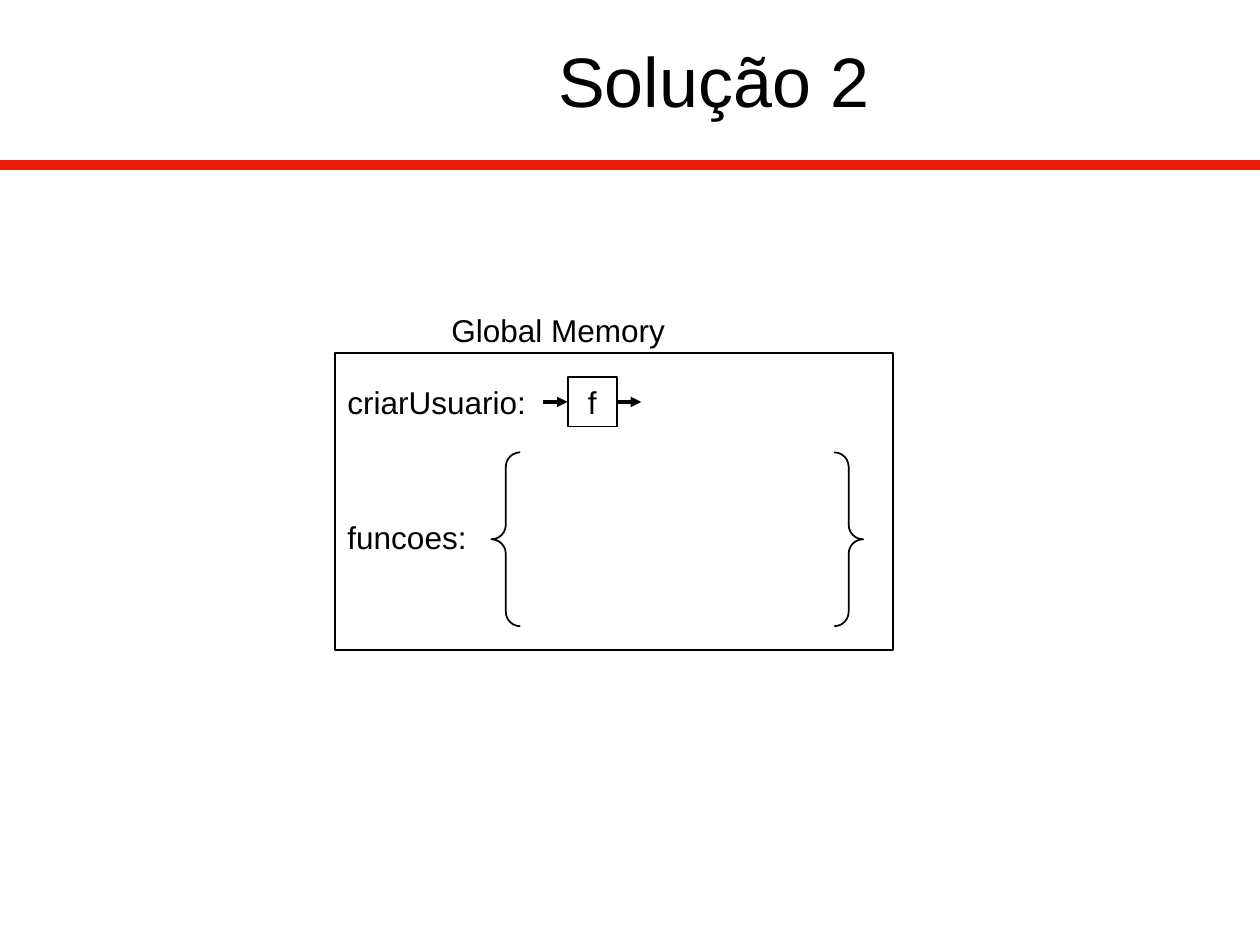
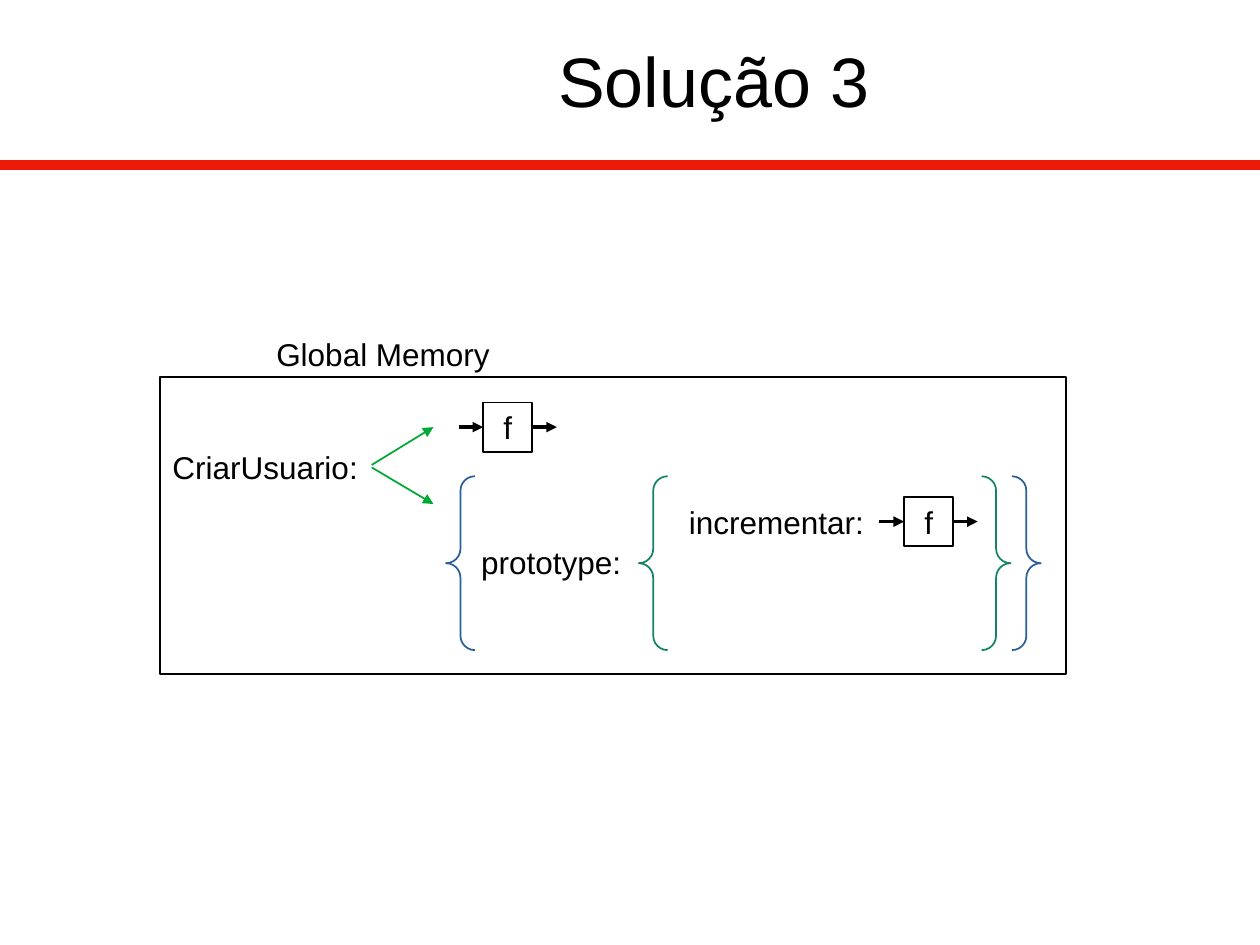
from lxml.etree import SubElement
from pptx import Presentation
from pptx.dml.color import RGBColor
from pptx.enum.shapes import MSO_CONNECTOR, MSO_SHAPE
from pptx.enum.text import MSO_ANCHOR, MSO_AUTO_SIZE, PP_ALIGN
from pptx.oxml.ns import qn
from pptx.util import Inches, Pt

# Content: lengths in inches; a label is (text, left, top),
# a function is (left, middle), braces are (left, width, colour),
# an arrow is (from x, from y, to x, to y)
SLIDES = [
    {
        "title": "Solução 2",
        "memory": (2.66, 2.8, 4.43),
        "labels": [("criarUsuario:", 2.66, 2.99), ("funcoes:", 2.66, 4.06)],
        "functions": [(4.31, 3.19)],
        "braces": [(3.9, 2.95, "black")],
        "arrows": [],
    },
    {
        "title": "Solução 3",
        "memory": (1.27, 2.99, 7.19),
        "labels": [("CriarUsuario:", 1.27, 3.51), ("prototype:", 3.72, 4.26),
                   ("incrementar:", 5.37, 3.94)],
        "functions": [(3.64, 3.39), (6.98, 4.14)],
        "braces": [(3.54, 4.72, "blue"), (5.07, 2.95, "teal")],
        "arrows": [(2.95, 3.69, 3.44, 3.39), (2.95, 3.71, 3.44, 4)],
    },
]

# Shared style
COLORS = {"black": "000000", "red": "ED1909", "green": "00A933",
          "blue": "2A6099", "teal": "158466"}
FONT = "Arial"
TITLE_BOX = (1.53, -0.09, 8.27, 1.44)
RULE_TOP = 1.31
MEMORY_HEIGHT = 2.36
CAPTION_RISE, CAPTION_WIDTH = 0.38, 3.54
LABEL_WIDTH, LABEL_HEIGHT = 2.36, 0.4
BRACE_DROP, BRACE_HEIGHT = 0.79, 1.38
FUNCTION_SIZE = 0.39
STUB = FUNCTION_SIZE / 2


def inches(*lengths):
    return [Inches(length) for length in lengths]


def color(name):
    return RGBColor.from_string(COLORS[name])


def write(shape, text, size=18, align=PP_ALIGN.CENTER, anchor=MSO_ANCHOR.TOP, wrap=True):
    frame = shape.text_frame
    frame.text = text
    frame.word_wrap = wrap
    frame.auto_size = MSO_AUTO_SIZE.NONE
    frame.vertical_anchor = anchor
    paragraph = frame.paragraphs[0]
    paragraph.alignment = align
    paragraph.font.name = FONT
    paragraph.font.size = Pt(size)
    paragraph.font.color.rgb = color("black")


def add_label(slide, text, left, top, width=LABEL_WIDTH, align=PP_ALIGN.LEFT):
    box = slide.shapes.add_textbox(*inches(left, top, width, LABEL_HEIGHT))
    write(box, text, align=align)


def add_outline(shapes, kind, box, line_color="black"):
    shape = shapes.add_shape(kind, *inches(*box))
    shape.shadow.inherit = False
    shape.fill.background()
    shape.line.color.rgb = color(line_color)
    shape.line.width = Pt(1)
    return shape


def add_line(shapes, points, line_color, width, arrow=True):
    line = shapes.add_connector(MSO_CONNECTOR.STRAIGHT, *inches(*points))
    line.line.color.rgb = color(line_color)
    line.line.width = Pt(width)
    properties = line._element.spPr
    if arrow:
        SubElement(properties.find(qn("a:ln")), qn("a:tailEnd"), type="triangle")
    SubElement(properties, qn("a:effectLst"))
    return line


def add_function(slide, left, middle):
    """A box marked f with one arrow going in and one coming out."""
    shapes = slide.shapes.add_group_shape().shapes
    box_left = left + STUB
    box = add_outline(shapes, MSO_SHAPE.RECTANGLE,
                      (box_left, middle - STUB, FUNCTION_SIZE, FUNCTION_SIZE))
    write(box, "f", anchor=MSO_ANCHOR.MIDDLE, wrap=False)
    for start in (left, box_left + FUNCTION_SIZE):
        add_line(shapes, (start, middle, start + STUB, middle), "black", 0)


def add_diagram(slide, content):
    # Memory frame and its caption
    left, top, width = content["memory"]
    add_label(slide, "Global Memory", left, top - CAPTION_RISE, CAPTION_WIDTH, PP_ALIGN.CENTER)
    add_outline(slide.shapes, MSO_SHAPE.RECTANGLE, (left, top, width, MEMORY_HEIGHT))

    # Names, functions and objects held in memory
    for label in content["labels"]:
        add_label(slide, *label)
    for function in content["functions"]:
        add_function(slide, *function)
    for points in content["arrows"]:
        add_line(slide.shapes, points, "green", 1)
    for brace_left, brace_width, brace_color in content["braces"]:
        box = (brace_left, top + BRACE_DROP, brace_width, BRACE_HEIGHT)
        braces = add_outline(slide.shapes, MSO_SHAPE.DOUBLE_BRACE, box, brace_color)
        braces.adjustments[0] = 0.083


def main():
    presentation = Presentation()
    presentation.slide_width, presentation.slide_height = inches(10, 7.5)
    layout = presentation.slide_layouts[5]

    for number, content in enumerate(SLIDES):
        slide = presentation.slides.add_slide(layout)
        if number == 0:
            # The red rule belongs to the layout, so every slide shows it
            rule = add_line(slide.shapes, (0, RULE_TOP, 10, RULE_TOP), "red", 6, arrow=False)
            layout.shapes.element.append(rule._element)
        title = slide.shapes.title
        title.left, title.top, title.width, title.height = inches(*TITLE_BOX)
        write(title, content["title"], size=40, anchor=MSO_ANCHOR.MIDDLE)
        add_diagram(slide, content)

    presentation.save("out.pptx")


if __name__ == "__main__":
    main()
